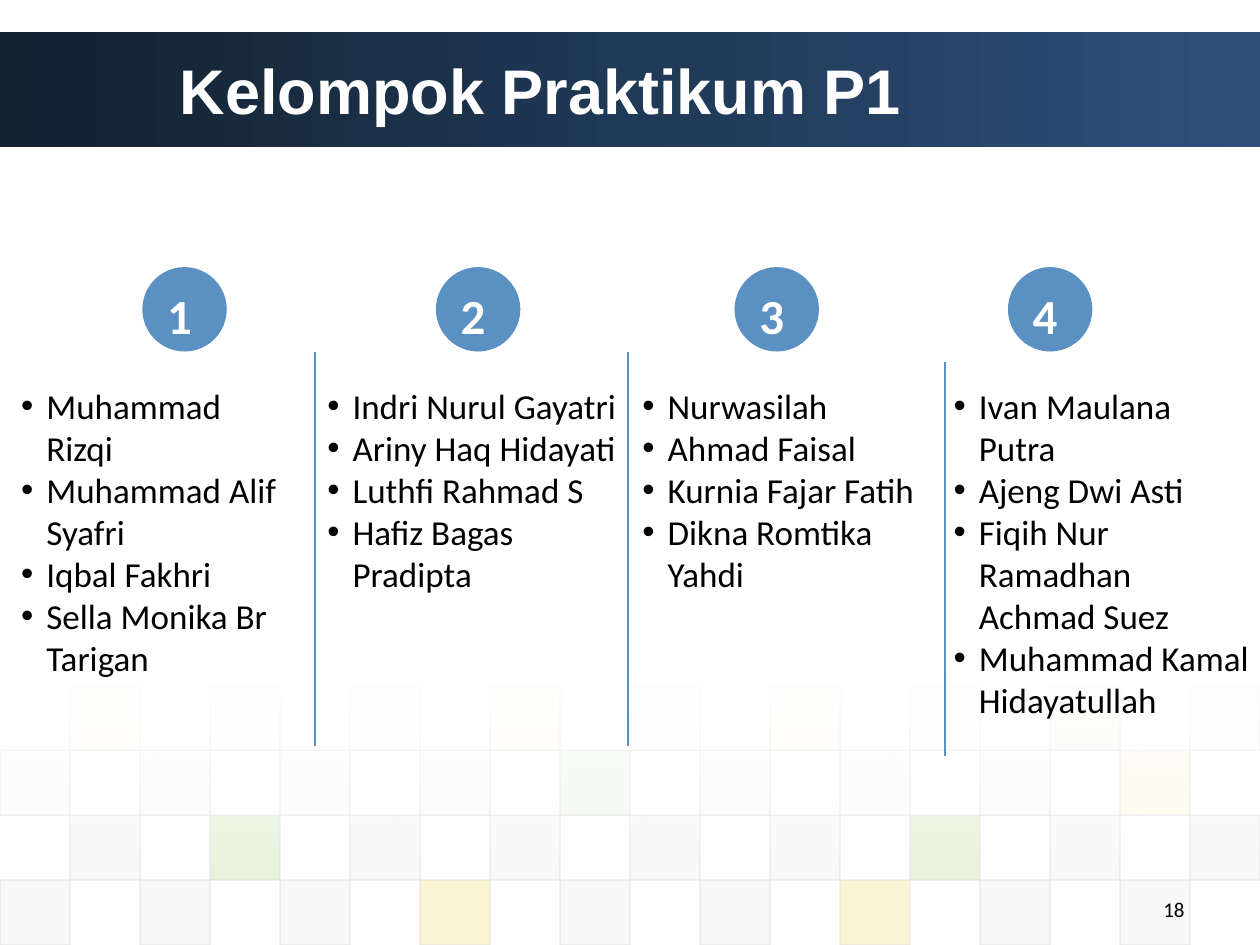
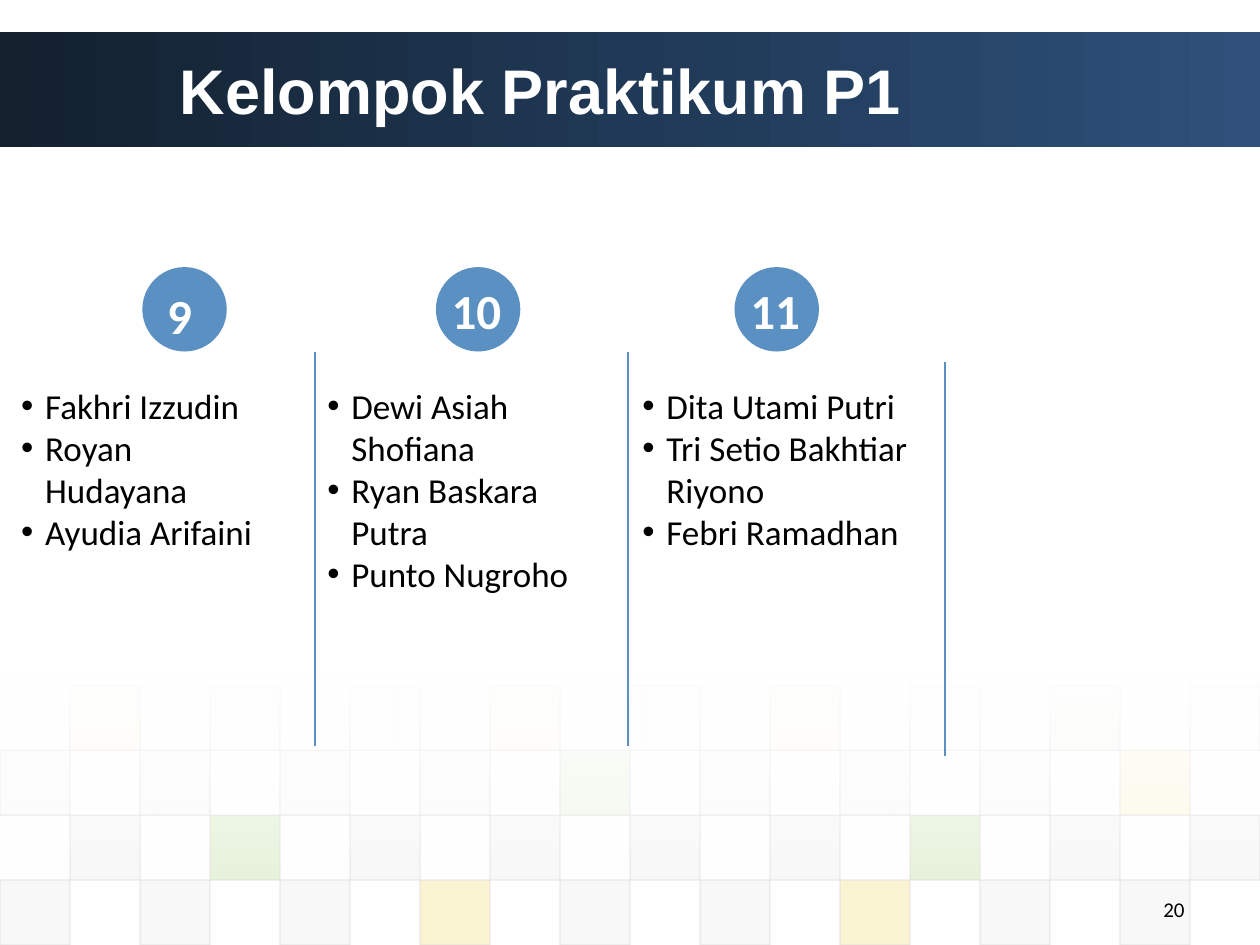
import pptx
import pptx.util
import pptx.dml.color
import pptx.enum.shapes
import pptx.enum.text
import pptx.oxml
import pptx.oxml.ns
from dataclasses import dataclass

TITLE = "Kelompok Praktikum P1"
DECK = [
    {"page": "18", "dent": 0.2, "teams": [
        ("1", 7, ["Muhammad Rizqi", "Muhammad Alif Syafri", "Iqbal Fakhri",
                  "Sella Monika Br Tarigan"]),
        ("2", 5, ["Indri Nurul Gayatri", "Ariny Haq Hidayati", "Luthfi Rahmad S",
                  "Hafiz Bagas Pradipta"]),
        ("3", 5, ["Nurwasilah", "Ahmad Faisal", "Kurnia Fajar Fatih",
                  "Dikna Romtika Yahdi"]),
        ("4", 8, ["Ivan Maulana Putra", "Ajeng Dwi Asti",
                  "Fiqih Nur Ramadhan Achmad Suez", "Muhammad Kamal Hidayatullah"]),
    ]},
    {"page": "20", "dent": 0.19, "teams": [
        ("9", 4, ["Fakhri Izzudin", "Royan Hudayana", "Ayudia Arifaini"]),
        ("10", 5, ["Dewi Asiah Shofiana", "Ryan Baskara Putra", "Punto Nugroho"]),
        ("11", 4, ["Dita Utami Putri", "Tri Setio Bakhtiar Riyono", "Febri Ramadhan"]),
    ]},
]

WIDE, HIGH = 10, 7.5
BAND_TOP, BAND_HIGH = 0.25, 0.92
DISCS = [1.13, 3.46, 5.83, 8]
DISC_TOP, DISC = 2.12, 0.67
LISTS = [(0.07, 2.26), (2.5, 2.5), (5, 2.42), (7.47, 2.58)]
LIST_TOP, ROW = 3, 0.337
RULES = [(2.5, 2.79), (4.985, 2.79), (7.5, 2.87)]
RULE_LEN = 3.13

TILES = [("YEEYDYEGE", 5), ("DDDDGDDDY", 10), ("DGDDDDGDD", 20), ("DDDYDDYDD", 20)]
TILE_WIDE, TILE_HIGH = WIDE / 18, 0.515
TILE_TOP = HIGH - len(TILES) * TILE_HIGH


@dataclass(frozen=True)
class Theme:
    white: str = "FFFFFF"
    ink: str = "000000"
    blue: str = "5A90C2"
    edge: str = "DDDDDD"
    band: tuple = ((0, "13202E", 100), (50, "1F3956", 100), (100, "2E507A", 100))
    veil: tuple = ((0, "FFFFFF", 90), (100, "FFFFFF", 0))
    head: str = "Arial"
    body: str = "Calibri"
    big: int = 36
    mark: int = 28
    text: int = 20
    note: int = 12


LOOK = Theme()
TINTS = {"D": LOOK.edge, "E": "EAEAEA", "G": "8AC246", "Y": "EFC821"}
KIND = pptx.enum.shapes.MSO_SHAPE
ALIGN = pptx.enum.text.PP_ALIGN
MID = pptx.enum.text.MSO_ANCHOR.MIDDLE
TOP = pptx.enum.text.MSO_ANCHOR.TOP
inch = pptx.util.Inches


def tone(code):
    return pptx.dml.color.RGBColor.from_string(code)


def node(tag, up, **attrs):
    item = pptx.oxml.ns.qn(tag)
    made = up.makeelement(item, attrs)
    up.append(made)
    return made


def fade(fill, alpha):
    hue = fill._xPr.find(".//" + pptx.oxml.ns.qn("a:srgbClr"))
    node("a:alpha", hue, val=str(alpha * 1000))


def blend(shape, stops, angle):
    fill = shape.fill
    fill.gradient()
    fill.gradient_angle = 0
    grad = shape._element.spPr.find(pptx.oxml.ns.qn("a:gradFill"))
    bag = grad.find(pptx.oxml.ns.qn("a:gsLst"))
    for old in list(bag):
        bag.remove(old)
    for pos, code, alpha in stops:
        stop = node("a:gs", bag, pos=str(pos * 1000))
        hue = node("a:srgbClr", stop, val=code)
        node("a:alpha", hue, val=str(alpha * 1000))
    grad.find(pptx.oxml.ns.qn("a:lin")).set("ang", str(angle * 60000))


def form(slide, kind, x, y, w, h, code=None):
    shape = slide.shapes.add_shape(kind, inch(x), inch(y), inch(w), inch(h))
    shape.shadow.inherit = False
    shape.line.fill.background()
    if code:
        shape.fill.solid()
        shape.fill.fore_color.rgb = tone(code)
    else:
        shape.fill.background()
    return shape


def put(para, words, size, code, face, bold=False):
    run = para.add_run()
    run.text = words
    font = run.font
    font.size, font.name, font.bold = pptx.util.Pt(size), face, bold
    font.color.rgb = tone(code)


def box(slide, x, y, w, h):
    frame = slide.shapes.add_textbox(inch(x), inch(y), inch(w), inch(h)).text_frame
    frame.word_wrap = True
    return frame


def floor(slide):
    for row, (codes, alpha) in enumerate(TILES):
        for nth, key in enumerate(codes):
            col = 2 * nth + (row + 1) % 2
            tile = form(slide, KIND.RECTANGLE, col * TILE_WIDE,
                        TILE_TOP + row * TILE_HIGH, TILE_WIDE, TILE_HIGH, TINTS[key])
            fade(tile.fill, alpha)
            tile.line.color.rgb = tone(LOOK.edge)
            tile.line.width = pptx.util.Pt(0.75)
            fade(tile.line.fill, 60)
    blend(form(slide, KIND.RECTANGLE, 0, 5.37, WIDE, 1.62), LOOK.veil, 90)


def frame(slide, page):
    blend(form(slide, KIND.RECTANGLE, 0, BAND_TOP, WIDE, BAND_HIGH), LOOK.band, 0)
    floor(slide)
    head = box(slide, 1.33, BAND_TOP, WIDE - 1.33, BAND_HIGH)
    head.vertical_anchor = MID
    put(head.paragraphs[0], TITLE, LOOK.big, LOOK.white, LOOK.head, True)
    foot = box(slide, 7.17, 7.07, 2.33, 0.33).paragraphs[0]
    foot.alignment = ALIGN.RIGHT
    put(foot, page, LOOK.note, LOOK.ink, LOOK.body)


def disc(slide, x, label):
    spot = form(slide, KIND.OVAL, x, DISC_TOP, DISC, DISC, LOOK.blue)
    if len(label) > 1:
        spot = form(slide, KIND.OVAL, x - 0.1, DISC_TOP - 0.04, DISC + 0.2, DISC)
    spot.text_frame.vertical_anchor = TOP
    para = spot.text_frame.paragraphs[0]
    para.alignment = ALIGN.LEFT
    put(para, label, LOOK.mark, LOOK.white, LOOK.body, True)


def roll(slide, x, w, rows, names, dent):
    text = box(slide, x, LIST_TOP, w, 0.1 + rows * ROW)
    text.auto_size = pptx.enum.text.MSO_AUTO_SIZE.SHAPE_TO_FIT_TEXT
    for nth, name in enumerate(names):
        para = text.add_paragraph() if nth else text.paragraphs[0]
        prop = para._p.get_or_add_pPr()
        prop.set("marL", str(inch(dent)))
        prop.set("indent", str(-inch(dent)))
        node("a:buFont", prop, typeface=LOOK.head)
        node("a:buChar", prop, char="•")
        put(para, name, LOOK.text, LOOK.ink, LOOK.body)


def rule(slide, x, y):
    line = slide.shapes.add_connector(pptx.enum.shapes.MSO_CONNECTOR.STRAIGHT,
                                      inch(x), inch(y), inch(x), inch(y + RULE_LEN))
    line.line.color.rgb = tone(LOOK.blue)
    line.line.width = pptx.util.Pt(1.5)
    node("a:effectLst", line._element.spPr)


def main():
    deck = pptx.Presentation()
    deck.slide_width, deck.slide_height = inch(WIDE), inch(HIGH)
    for part in DECK:
        slide = deck.slides.add_slide(deck.slide_layouts[6])
        frame(slide, part["page"])
        for (label, rows, names), left, (x, w) in zip(part["teams"], DISCS, LISTS):
            disc(slide, left, label)
            roll(slide, x, w, rows, names, part["dent"])
        for x, y in RULES:
            rule(slide, x, y)
    deck.save("out.pptx")


if __name__ == "__main__":
    main()
